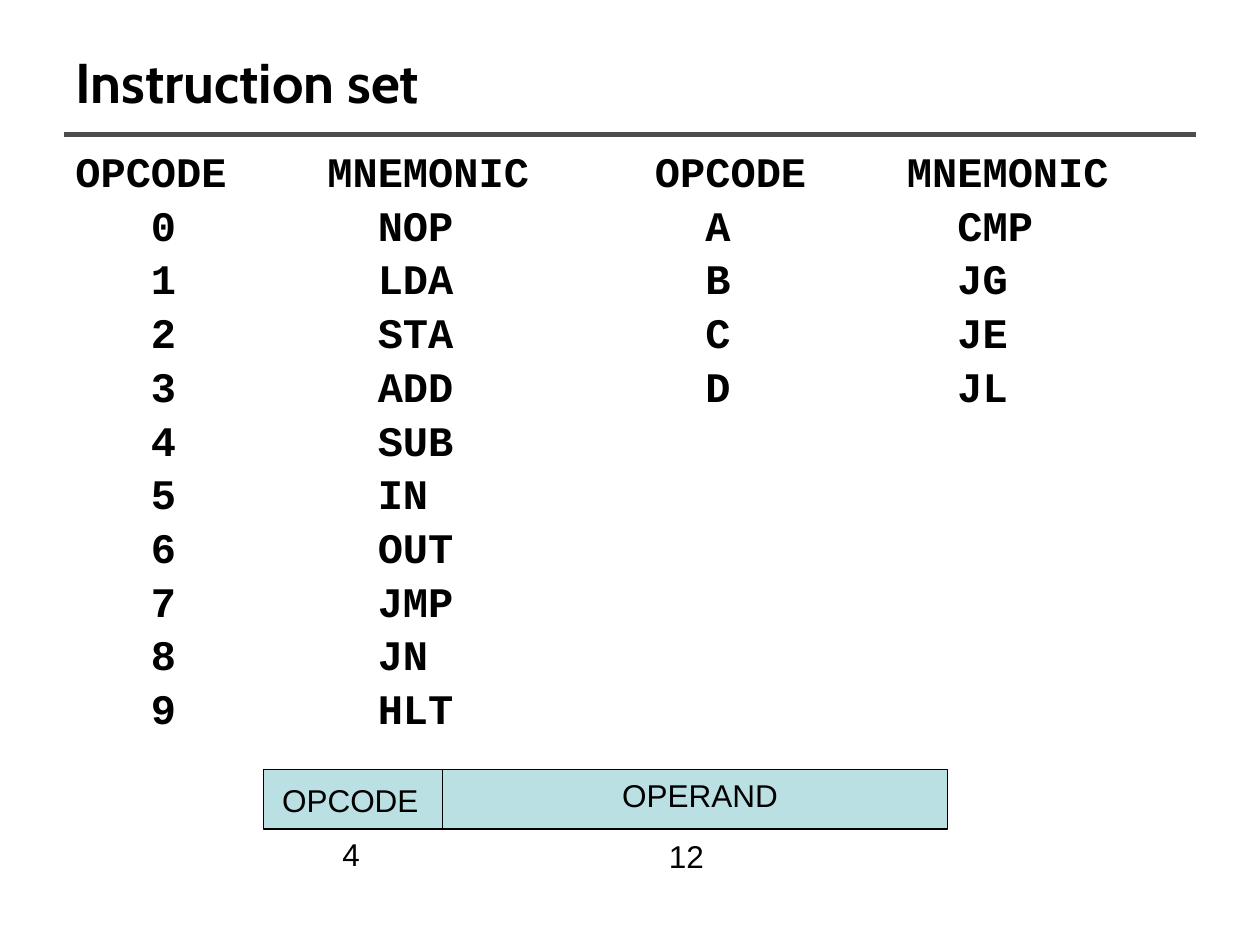
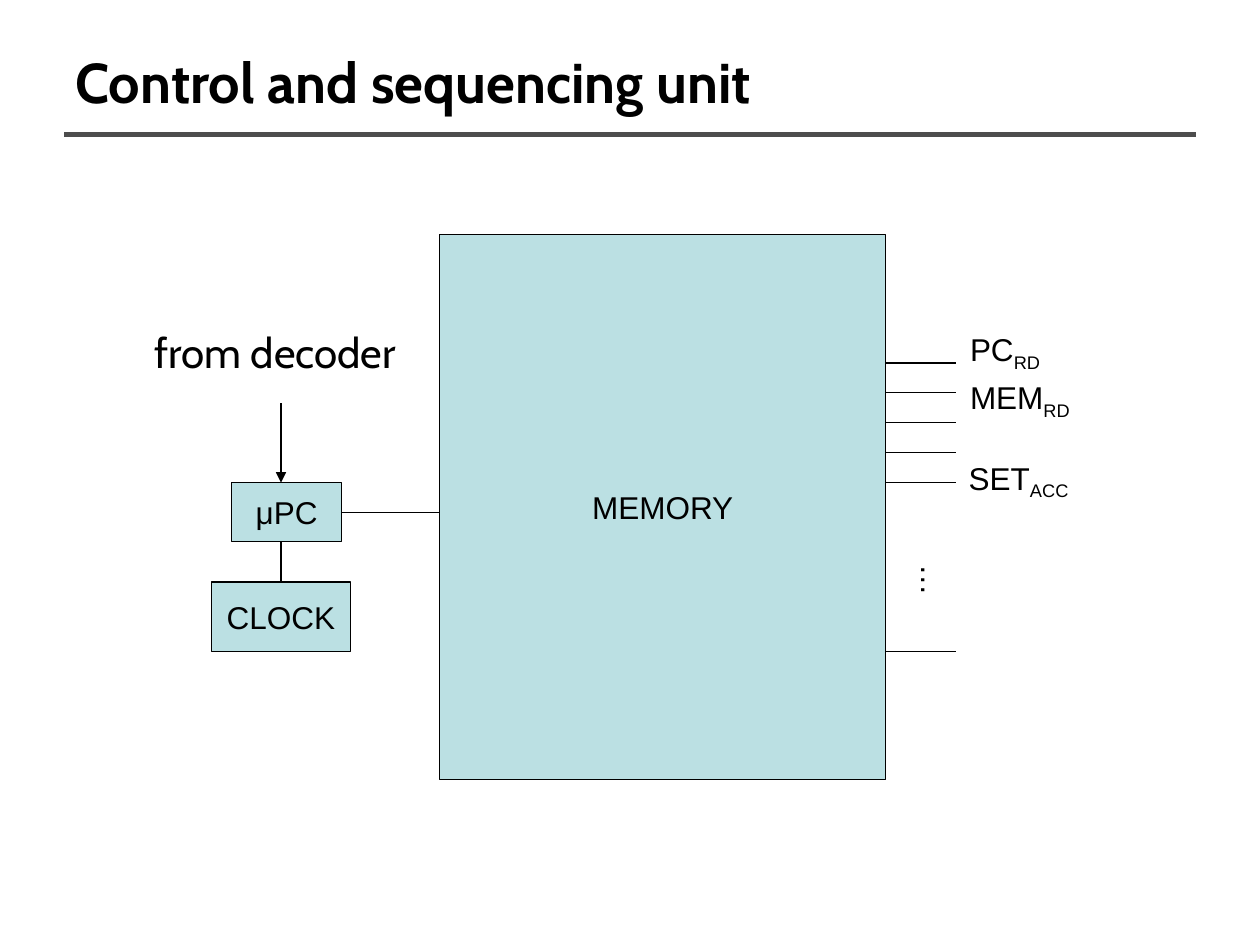
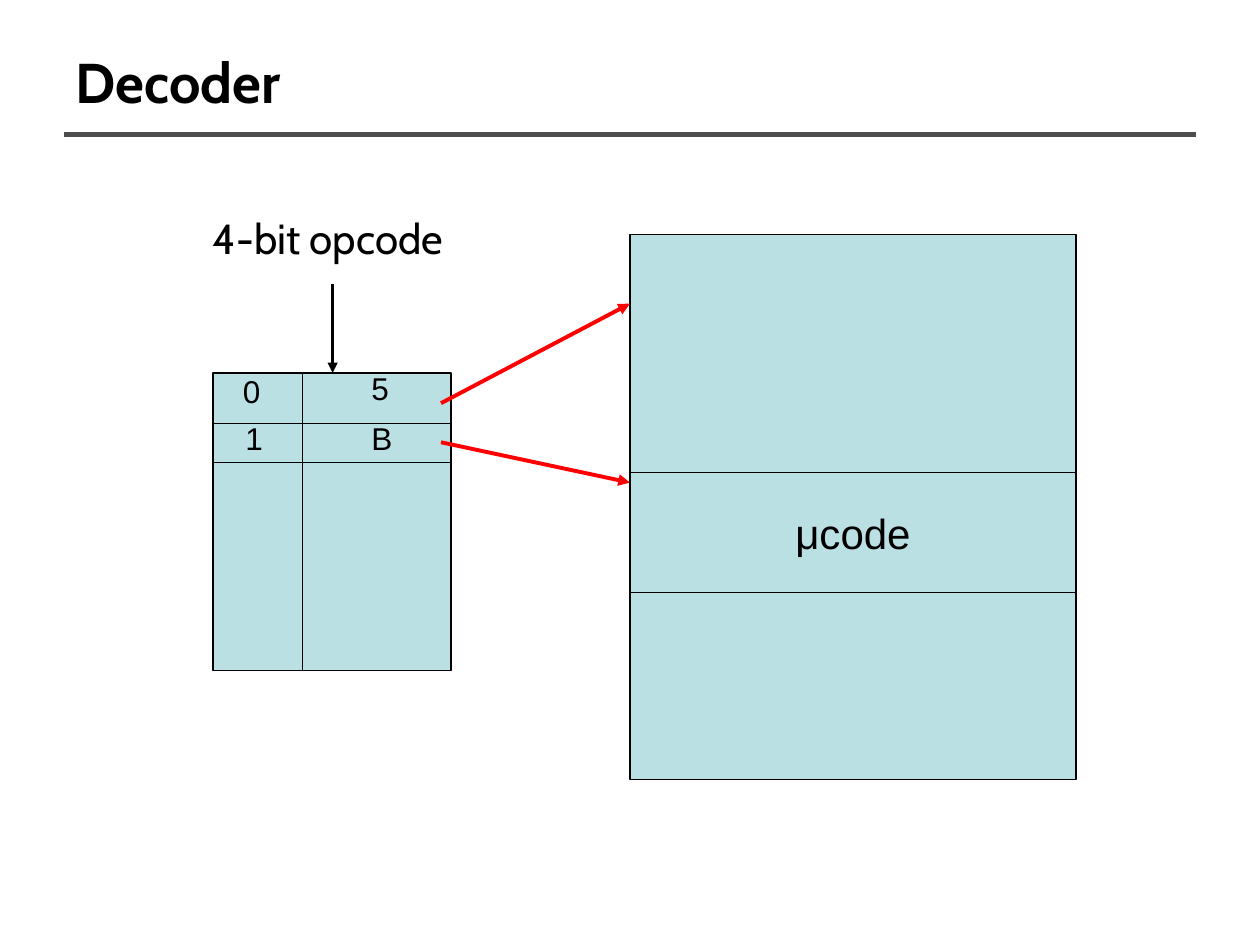
"""Build three slides on the instruction set, control unit and decoder of a small processor."""
import itertools
from dataclasses import dataclass

import lxml.etree
import pptx
import pptx.dml.color
import pptx.enum.shapes
import pptx.enum.text
import pptx.oxml.ns
import pptx.util

Inches = pptx.util.Inches
Pt = pptx.util.Pt
ANCHOR = pptx.enum.text.MSO_ANCHOR
ALIGN = pptx.enum.text.PP_ALIGN

COLORS = {"ink": "000000", "rule": "4D4D4D", "block": "BBE0E3", "pointer": "FF0000"}
SANS, HEADING, MONO = "Arial", "Cabin", "Courier New"
HEADER_TABS = (2, 4.6, 6.6)
ROW_TABS = (0.6, 2.4, 5, 7)
MNEMONICS = ("NOP", "LDA", "STA", "ADD", "SUB", "IN", "OUT", "JMP", "JN", "HLT",
             "CMP", "JG", "JE", "JL")


@dataclass(frozen=True)
class Box:
    left: float
    top: float
    width: float
    height: float

    @property
    def right(self) -> float:
        return self.left + self.width

    @property
    def bottom(self) -> float:
        return self.top + self.height

    def lengths(self) -> list:
        return [Inches(v) for v in (self.left, self.top, self.width, self.height)]


@dataclass(frozen=True)
class Label:
    text: str
    box: Box
    sub: str = ""
    size: float = 18
    font: str = SANS
    wrap: bool = False
    vertical: bool = False


@dataclass(frozen=True)
class Line:
    x1: float
    y1: float
    x2: float
    y2: float
    color: str = "ink"
    width: float = 0.75
    arrow: bool = False


def rgb(name: str):
    return pptx.dml.color.RGBColor.from_string(COLORS[name])


def write(p, text: str, *, size: float = 18, font: str = SANS, bold: bool = False,
          align=ALIGN.LEFT, sub: bool = False) -> None:
    p.alignment = align
    r = p.add_run()
    r.text = text
    r.font.size, r.font.name, r.font.bold = Pt(size), font, bold
    r.font.color.rgb = rgb("ink")
    if sub:
        r.font._element.set("baseline", "-25000")


def add_frame(s, box: Box, *, wrap: bool = True, anchor=ANCHOR.TOP):
    tf = s.shapes.add_textbox(*box.lengths()).text_frame
    tf.word_wrap, tf.vertical_anchor = wrap, anchor
    return tf


def add_label(s, label: Label) -> None:
    tf = add_frame(s, label.box, wrap=label.wrap)
    tf.auto_size = pptx.enum.text.MSO_AUTO_SIZE.SHAPE_TO_FIT_TEXT
    if label.vertical:
        tf._txBody.bodyPr.set("vert", "eaVert")
    write(tf.paragraphs[0], label.text, size=label.size, font=label.font)
    if label.sub:
        write(tf.paragraphs[0], label.sub, size=label.size, font=label.font, sub=True)


def add_block(s, box: Box, text: str = "", size: float = 18) -> None:
    sp = s.shapes.add_shape(pptx.enum.shapes.MSO_SHAPE.RECTANGLE, *box.lengths())
    sp.shadow.inherit = False
    sp.fill.solid()
    sp.fill.fore_color.rgb = rgb("block")
    sp.line.color.rgb = rgb("ink")
    sp.line.width = Pt(0.75)
    if text:
        tf = sp.text_frame
        tf.word_wrap, tf.vertical_anchor = False, ANCHOR.MIDDLE
        write(tf.paragraphs[0], text, size=size, align=ALIGN.CENTER)


def add_line(s, line: Line) -> None:
    ends = [Inches(v) for v in (line.x1, line.y1, line.x2, line.y2)]
    c = s.shapes.add_connector(pptx.enum.shapes.MSO_CONNECTOR.STRAIGHT, *ends)
    c.line.color.rgb = rgb(line.color)
    c.line.width = Pt(line.width)
    qn = pptx.oxml.ns.qn
    if line.arrow:
        lxml.etree.SubElement(c.line._get_or_add_ln(), qn("a:tailEnd"), type="triangle")
    lxml.etree.SubElement(c._element.spPr, qn("a:effectLst"))


def add_slide(prs, title: str):
    s = prs.slides.add_slide(prs.slide_layouts[6])
    add_line(s, Line(0.51, 1.07, 9.49, 1.07, "rule", 3))
    tf = add_frame(s, Box(0.5, 0.3, 9, 0.69), anchor=ANCHOR.MIDDLE)
    write(tf.paragraphs[0], title, size=32, font=HEADING, bold=True)
    return s


def add_tabbed_row(p, text: str, stops: tuple) -> None:
    p.line_spacing, p.space_before = 0.9, Pt(4.8)
    qn = pptx.oxml.ns.qn
    tabs = lxml.etree.SubElement(p._p.get_or_add_pPr(), qn("a:tabLst"))
    for stop in stops:
        lxml.etree.SubElement(tabs, qn("a:tab"), pos=str(Inches(stop)), algn="l")
    write(p, text, size=24, font=MONO, bold=True)


def instruction_set(prs) -> None:
    s = add_slide(prs, "Instruction set")
    tf = add_frame(s, Box(0.5, 1.15, 9, 4.88))
    add_tabbed_row(tf.paragraphs[0], "\t".join(("OPCODE", "MNEMONIC") * 2), HEADER_TABS)
    codes = [f"\t{code:X}\t{name}" for code, name in enumerate(MNEMONICS)]
    for left, right in itertools.zip_longest(codes[:10], codes[10:], fillvalue=""):
        add_tabbed_row(tf.add_paragraph(), left + right, ROW_TABS)

    word = Box(2.09, 6.11, 5.43, 0.47)
    add_block(s, word)
    add_line(s, Line(3.51, word.top, 3.51, word.bottom))
    for label in (
        Label("OPCODE", Box(2.14, 6.15, 1.32, 0.4)),
        Label("OPERAND", Box(4.84, 6.11, 1.44, 0.4)),
        Label("4", Box(2.62, 6.58, 0.34, 0.4)),
        Label("12", Box(5.21, 6.59, 0.48, 0.4)),
    ):
        add_label(s, label)


def control_unit(prs) -> None:
    s = add_slide(prs, "Control and sequencing unit")
    counter = Box(1.84, 3.83, 0.87, 0.47)
    memory = Box(3.49, 1.86, 3.54, 4.33)
    clock = Box(1.68, 4.62, 1.1, 0.55)
    for box, text in ((counter, "μPC"), (memory, "MEMORY"), (clock, "CLOCK")):
        add_block(s, box, text)

    axis = 2.23
    add_line(s, Line(counter.right, 4.07, memory.left, 4.07))
    add_line(s, Line(axis, counter.bottom, axis, clock.top))
    add_line(s, Line(axis, 3.2, axis, counter.top, arrow=True))
    for y in [2.88 + 0.95 * i / 4 for i in range(5)] + [5.17]:
        add_line(s, Line(memory.right, y, 7.59, y))
    for label in (
        Label("from decoder", Box(1.13, 2.54, 2.22, 0.5), size=24, font=HEADING),
        Label("PC", Box(7.6, 2.57, 0.79, 0.4), "RD", wrap=True),
        Label("MEM", Box(7.6, 2.95, 1.18, 0.4), "RD", wrap=True),
        Label("SET", Box(7.59, 3.59, 1.04, 0.4), "ACC", wrap=True),
        Label("…", Box(7.11, 4.38, 0.5, 0.35), vertical=True),
    ):
        add_label(s, label)


def decoder(prs) -> None:
    s = add_slide(prs, "Decoder")
    lookup = Box(1.69, 2.96, 1.89, 2.36)
    store = Box(5, 1.86, 3.54, 4.33)
    add_block(s, lookup)
    add_block(s, store)
    add_line(s, Line(2.4, lookup.top, 2.4, lookup.bottom))
    for y in (3.36, 3.67):
        add_line(s, Line(lookup.left, y, lookup.right, y))
    add_line(s, Line(2.64, 2.25, 2.64, lookup.top, width=1.5, arrow=True))
    for start, end in ((3.51, 3.83), (3.2, 2.41)):
        add_line(s, Line(3.5, start, store.left, end, "pointer", 2.25, True))
    add_block(s, Box(store.left, 3.75, store.width, 0.95), "μcode", 24)
    for label in (
        Label("4-bit opcode", Box(1.59, 1.64, 2.09, 0.5), size=24, font=HEADING),
        Label("0", Box(1.83, 2.9, 0.34, 0.4)),
        Label("5", Box(2.85, 2.88, 0.34, 0.4)),
        Label("1", Box(1.85, 3.28, 0.34, 0.4)),
        Label("B", Box(2.85, 3.28, 0.37, 0.4)),
    ):
        add_label(s, label)


def main() -> None:
    prs = pptx.Presentation()
    prs.slide_width, prs.slide_height = Inches(10), Inches(7.5)
    for build in (instruction_set, control_unit, decoder):
        build(prs)
    prs.save("out.pptx")


main()
